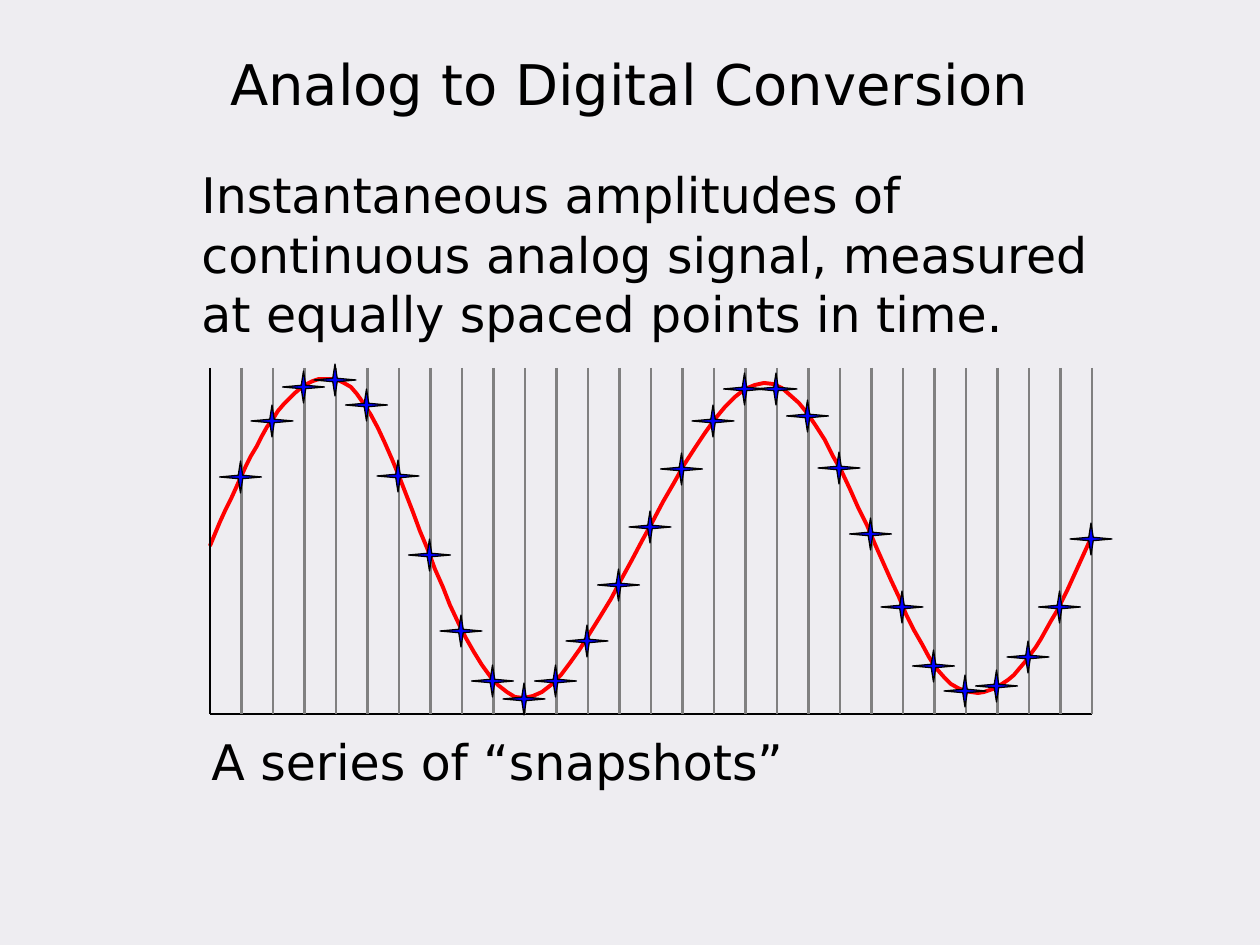
import pptx
import pptx.dml.color
import pptx.enum.shapes
import pptx.enum.text
import pptx.oxml
import pptx.oxml.ns
import pptx.util

PX = 914400 / 126
FONT = "DejaVu Sans"
COLORS = {
    "background": "EEEDF1",
    "text": "000000",
    "axis": "000000",
    "grid": "808080",
    "signal": "FF0000",
    "sample": "0000FF",
}
LEFT, TOP, RIGHT, BOTTOM = 210, 368, 1092, 714
STAR_WIDTH, STAR_HEIGHT = 42, 32
SAMPLE_HEIGHTS = [
    477, 421, 387, 380, 405, 476, 555, 631, 681, 699, 681, 641, 585, 527,
    469, 421, 389, 389, 416, 468, 534, 607, 666, 691, 686, 657, 607, 539,
]
SIGNAL_START = (210, 546)
SIGNAL_CURVES = [
    ((251, 451), (292, 357), (344, 383)),
    ((397, 408), (454, 698), (524, 698)),
    ((593, 698), (690, 384), (764, 383)),
    ((835, 381), (902, 663), (958, 688)),
    ((1012, 714), (1052, 625), (1092, 536)),
]


def px(length):
    """Turn a length in px into EMU."""
    return pptx.util.Emu(round(length * PX))


def color(name):
    """Look up a named colour."""
    return pptx.dml.color.RGBColor.from_string(COLORS[name])


def place(shape, left, top, width, height):
    """Move and size a shape."""
    shape.left, shape.top = px(left), px(top)
    shape.width, shape.height = px(width), px(height)


def write(box, text, size=28, spacing=34, align=pptx.enum.text.PP_ALIGN.LEFT):
    """Put one formatted paragraph into a box."""
    box.text_frame.word_wrap = True
    para = box.text_frame.paragraphs[0]
    para.alignment = align
    para.line_spacing = pptx.util.Pt(spacing)
    span = para.add_run()
    span.text = text
    span.font.name = FONT
    span.font.size = pptx.util.Pt(size)
    span.font.color.rgb = color("text")


def add_text(page, text, *bounds):
    """Add a wrapping text box that grows with its text."""
    box = page.shapes.add_textbox(*map(px, bounds))
    write(box, text)
    box.text_frame.auto_size = pptx.enum.text.MSO_AUTO_SIZE.SHAPE_TO_FIT_TEXT


def add_line(group, name, *ends):
    """Add a straight line without a shadow."""
    line = group.shapes.add_connector(
        pptx.enum.shapes.MSO_CONNECTOR.STRAIGHT, *map(px, ends))
    line.line.color.rgb = color(name)
    line.line.width = pptx.util.Pt(1.5)
    properties = line._element.spPr
    properties.append(pptx.oxml.parse_xml(
        f"<a:effectLst {pptx.oxml.ns.nsdecls('a')}/>"))


def curve_points(start, curves, steps=24):
    """Sample a chain of cubic curves."""
    points = []
    for first, second, end in curves:
        for step in range(1, steps + 1):
            t = step / steps
            weights = ((1 - t) ** 3, 3 * t * (1 - t) ** 2,
                       3 * t ** 2 * (1 - t), t ** 3)
            points.append(tuple(
                sum(weight * value for weight, value in zip(weights, values))
                for values in zip(start, first, second, end)))
        start = end
    return points


def add_signal(group):
    """Draw the continuous analog signal."""
    builder = group.shapes.build_freeform(*SIGNAL_START, scale=PX)
    builder.add_line_segments(
        curve_points(SIGNAL_START, SIGNAL_CURVES), close=False)
    signal = builder.convert_to_shape()
    signal.shadow.inherit = False
    signal.fill.background()
    signal.line.color.rgb = color("signal")
    signal.line.width = pptx.util.Pt(2.25)


def add_star(group, center_x, center_y):
    """Mark one sample with a thin four-pointed star."""
    star = group.shapes.add_shape(
        pptx.enum.shapes.MSO_SHAPE.STAR_4_POINT,
        px(center_x - STAR_WIDTH / 2), px(center_y - STAR_HEIGHT / 2),
        px(STAR_WIDTH), px(STAR_HEIGHT))
    star.adjustments[0] = 0.075
    star.shadow.inherit = False
    star.fill.solid()
    star.fill.fore_color.rgb = color("sample")
    star.line.color.rgb = color("axis")
    star.line.width = pptx.util.Pt(0.75)


def add_graph(page):
    """Draw the signal, axes, time grid and samples."""
    step = (RIGHT - LEFT) / len(SAMPLE_HEIGHTS)
    times = [LEFT + step * index for index in range(1, len(SAMPLE_HEIGHTS) + 1)]
    plot = page.shapes.add_group_shape()
    add_signal(plot)
    add_line(plot, "axis", LEFT, TOP, LEFT, BOTTOM)
    add_line(plot, "axis", LEFT, BOTTOM, RIGHT, BOTTOM)
    for time in times:
        add_line(plot, "grid", time, TOP, time, BOTTOM)
    samples = page.shapes.add_group_shape()
    for time, height in zip(times, SAMPLE_HEIGHTS):
        add_star(samples, time - 1, height)


def main():
    """Build and save the slide."""
    deck = pptx.Presentation()
    deck.slide_width, deck.slide_height = px(1260), px(945)
    page = deck.slides.add_slide(deck.slide_layouts[5])
    page.background.fill.solid()
    page.background.fill.fore_color.rgb = color("background")
    title = page.shapes.title
    place(title, 0, 42, 1260, 81)
    write(title, "Analog to Digital Conversion", size=32, spacing=39,
          align=pptx.enum.text.PP_ALIGN.CENTER)
    add_text(page, "Instantaneous amplitudes of continuous analog signal, "
             "measured at equally spaced points in time.", 189, 158, 966, 192)
    add_graph(page)
    add_text(page, "A series of “snapshots”", 199, 725, 630, 72)
    deck.save("out.pptx")


if __name__ == "__main__":
    main()
